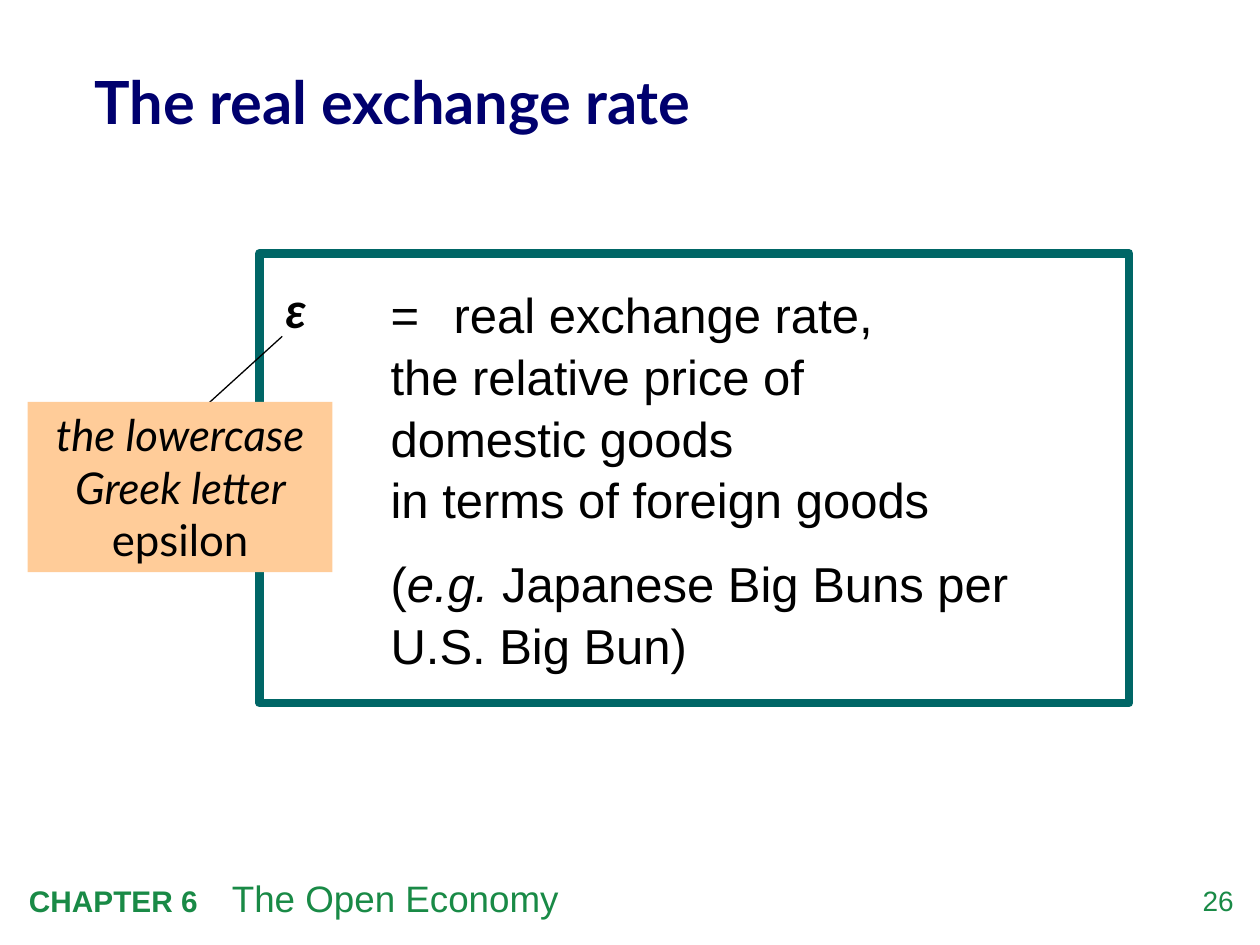
from dataclasses import dataclass
from lxml.etree import SubElement
from pptx import Presentation
from pptx.dml.color import RGBColor
from pptx.enum.shapes import MSO_CONNECTOR, MSO_SHAPE
from pptx.enum.text import MSO_ANCHOR, MSO_AUTO_SIZE, PP_ALIGN
from pptx.oxml.ns import qn
from pptx.util import Pt


@dataclass(frozen=True)
class Theme:
    ink: str = "000000"
    navy: str = "00006E"
    green: str = "198A46"
    teal: str = "006666"
    peach: str = "FFCC99"
    sans: str = "Arial"
    head: str = "Lato"
    title: int = 34
    body: int = 28
    note: int = 25
    topic: int = 21
    label: int = 17
    page: int = 16


THEME = Theme()


def apply(obj, form):
    for key, value in form.items():
        setattr(obj, key, value)


def place(shape, left, top, width, height):
    box = dict(left=left, top=top, width=width, height=height)
    apply(shape, {key: Pt(value) for key, value in box.items()})


def setup(shape, inset=None, **form):
    """Format the text frame and return it."""
    frame = shape.text_frame
    apply(frame, {"word_wrap": True, "auto_size": MSO_AUTO_SIZE.NONE, **form})
    if inset is not None:
        sides = ("left", "right", "top", "bottom")
        apply(frame, {f"margin_{side}": Pt(inset) for side in sides})
    return frame


def write(para, text, size, color=THEME.ink, name=THEME.sans, **form):
    """Add text as runs, with a line break at each newline."""
    for row, line in enumerate(text.split("\n")):
        if row:
            para.add_line_break()
            mark = para._p.findall(qn("a:br"))[-1]
            SubElement(mark, qn("a:rPr"), sz=str(size * 100))
        run = para.add_run()
        run.text = line
        look = dict(size=Pt(size), name=name, bold=False, italic=False)
        apply(run.font, {**look, **form})
        run.font.color.rgb = RGBColor.from_string(color)


def add_tabs(para, *stops):
    tabs = SubElement(para._p.get_or_add_pPr(), qn("a:tabLst"))
    for stop in stops:
        SubElement(tabs, qn("a:tab"), pos=str(Pt(stop)), algn="l")


def indent(para, left, first):
    """Set the indents and drop the bullet."""
    props = para._p.get_or_add_pPr()
    props.set("marL", str(Pt(left)))
    props.set("indent", str(Pt(first)))
    SubElement(props, qn("a:buNone"))


def add_box(shapes, box, **form):
    shape = shapes.add_textbox(*map(Pt, box))
    frame = setup(shape, **form)
    return frame.paragraphs[0]


def add_title(slide):
    title = slide.shapes.title
    place(title, 54, 18.7, 626.4, 75.6)
    frame = setup(title, inset=0, vertical_anchor=MSO_ANCHOR.MIDDLE)
    para = frame.paragraphs[0]
    apply(para, dict(alignment=PP_ALIGN.LEFT, line_spacing=1.05))
    write(para, "The real exchange rate", THEME.title, THEME.navy,
          THEME.head, bold=True)


def add_body(slide):
    body = slide.placeholders[1]
    place(body, 148.3, 144.7, 496.8, 257)
    body.line.color.rgb = RGBColor.from_string(THEME.teal)
    body.line.width = Pt(5)
    frame = setup(body, vertical_anchor=MSO_ANCHOR.MIDDLE)
    meaning, example = frame.paragraphs[0], frame.add_paragraph()
    hang = 67.7
    for para, first in ((meaning, -hang), (example, 0)):
        apply(para, dict(line_spacing=1.05, space_before=Pt(12.6)))
        indent(para, hang, first)
    add_tabs(meaning, 39, hang)
    write(meaning, "\t=\treal exchange rate,\nthe relative price of\n"
          "domestic goods\nin terms of foreign goods", THEME.body)
    write(example, "(", THEME.body)
    write(example, "e.g. ", THEME.body, italic=True)
    write(example, "Japanese Big Buns per U.S. Big Bun)", THEME.body)


def add_note(slide):
    """Add the callout and the line that leads to the symbol."""
    shapes = slide.shapes.add_group_shape().shapes
    ends = map(Pt, (161.3, 192.2, 114.5, 234.7))
    lead = shapes.add_connector(MSO_CONNECTOR.STRAIGHT, *ends)
    lead.line.color.rgb = RGBColor.from_string(THEME.ink)
    lead.line.width = Pt(0.75)
    SubElement(lead._element.spPr, qn("a:effectLst"))
    box = map(Pt, (15.8, 229.7, 174.2, 97.2))
    note = shapes.add_shape(MSO_SHAPE.RECTANGLE, *box)
    note.shadow.inherit = False
    note.fill.solid()
    note.fill.fore_color.rgb = RGBColor.from_string(THEME.peach)
    note.line.fill.background()
    frame = setup(note, vertical_anchor=MSO_ANCHOR.TOP)
    para = frame.paragraphs[0]
    para.alignment = PP_ALIGN.CENTER
    write(para, "the lowercase Greek letter ", THEME.note,
          name=THEME.head, italic=True)
    write(para, "epsilon", THEME.note, name=THEME.head)


def add_symbol(slide):
    para = add_box(slide.shapes, (154.1, 156.2, 30.2, 41))
    para.alignment = PP_ALIGN.CENTER
    write(para, "ε", THEME.body, name=THEME.head, bold=True, italic=True)


def add_footer(slide):
    page = add_box(slide.shapes, (665.3, 504.7, 39.6, 23), inset=0)
    page.alignment = PP_ALIGN.RIGHT
    write(page, "26", THEME.page, THEME.green)
    para = add_box(slide.shapes, (9.4, 496.8, 589, 32.4))
    add_tabs(para, 116)
    write(para, "CHAPTER 6\t", THEME.label, THEME.green, bold=True)
    write(para, "The Open Economy", THEME.topic, THEME.green)


def main():
    deck = Presentation()
    apply(deck, dict(slide_width=Pt(720), slide_height=Pt(540)))
    slide = deck.slides.add_slide(deck.slide_layouts[1])
    for add in (add_footer, add_title, add_body, add_note, add_symbol):
        add(slide)
    deck.save("out.pptx")


if __name__ == "__main__":
    main()
